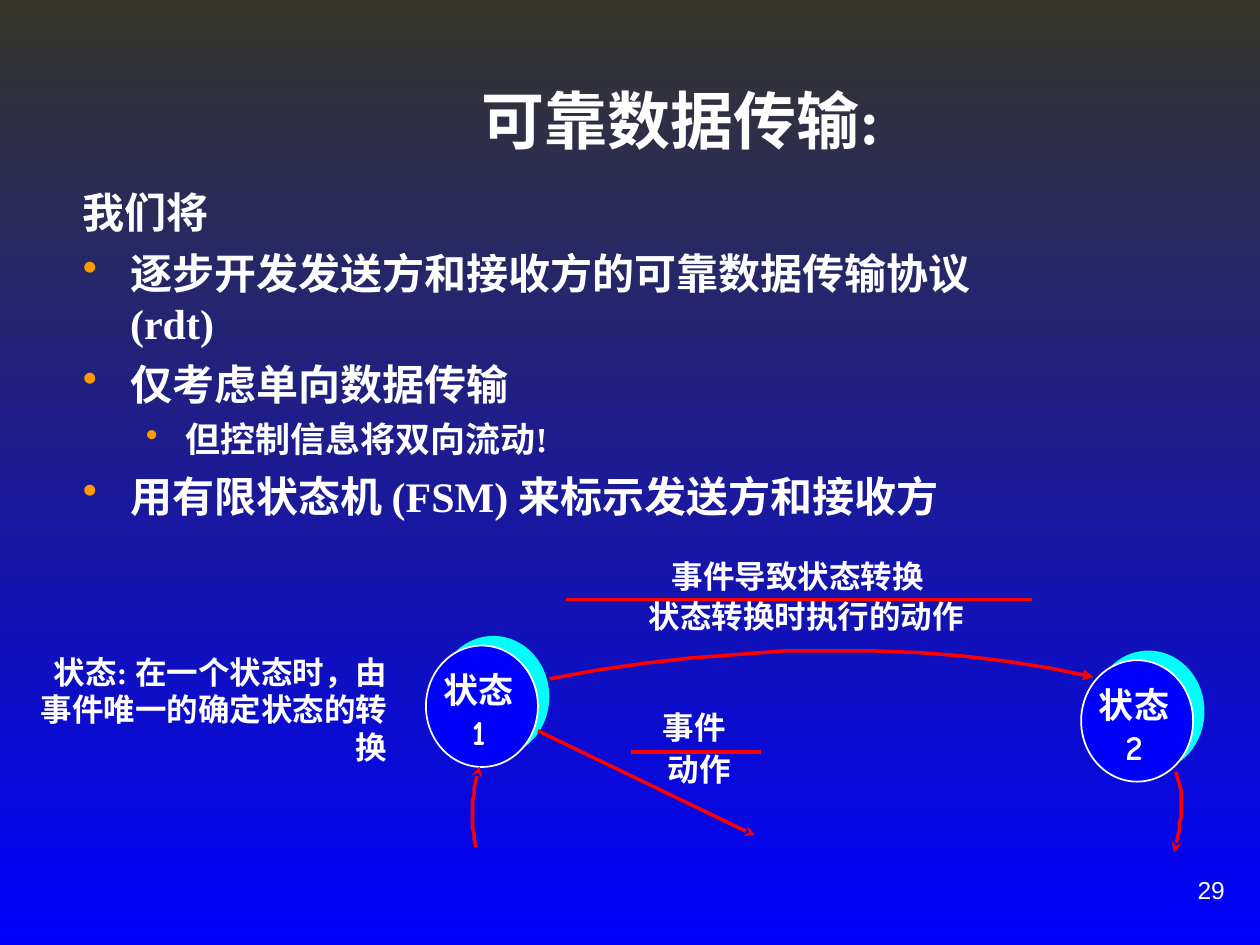
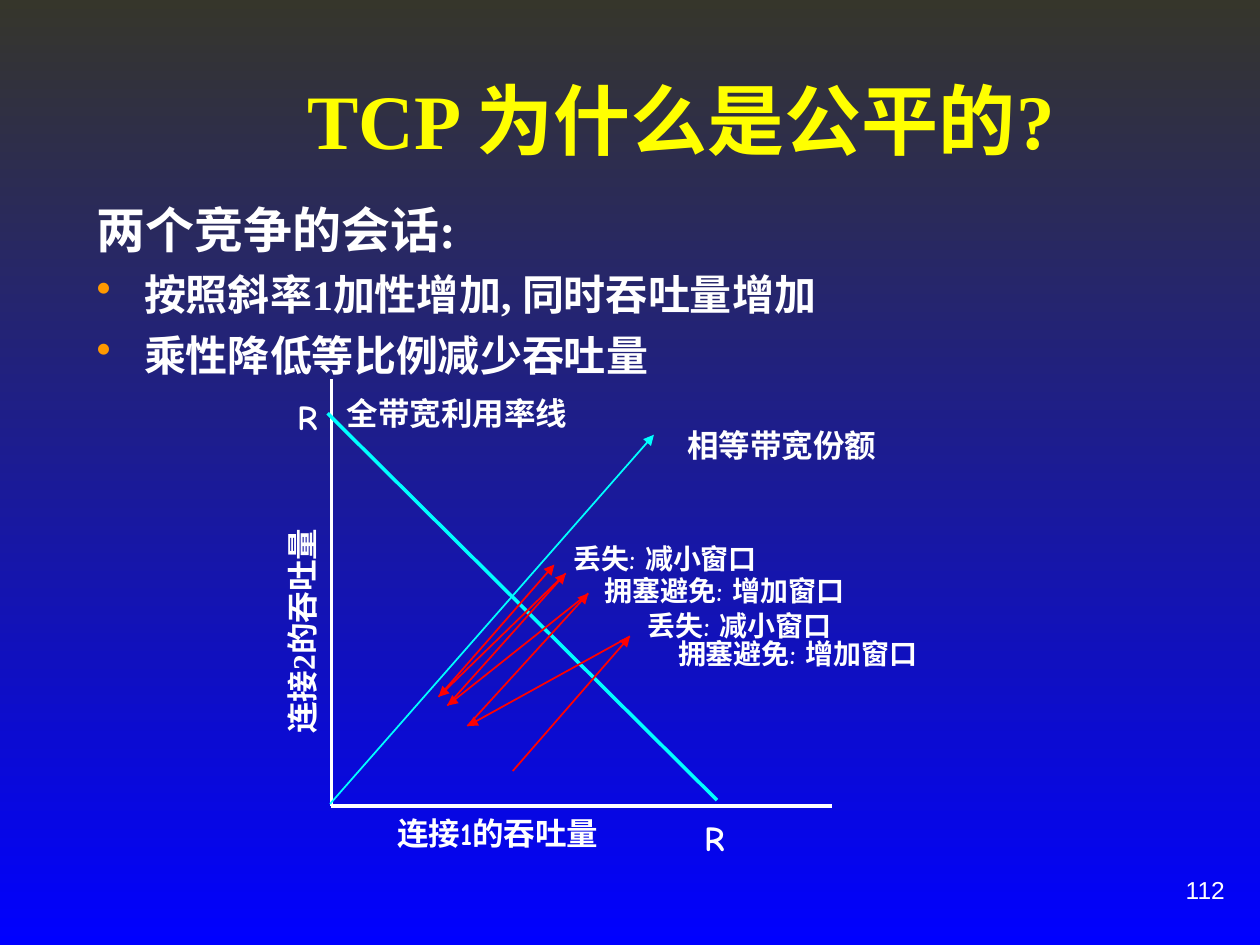
from dataclasses import dataclass
from itertools import pairwise
from typing import NamedTuple

from lxml import etree
from pptx import Presentation
from pptx.dml.color import RGBColor
from pptx.enum.shapes import MSO_CONNECTOR, MSO_SHAPE
from pptx.enum.text import MSO_ANCHOR, PP_ALIGN
from pptx.oxml.ns import qn
from pptx.util import Pt

STRAIGHT = MSO_CONNECTOR.STRAIGHT
OVAL = MSO_SHAPE.OVAL
MIDDLE = MSO_ANCHOR.MIDDLE
LEFT, CENTER, RIGHT = PP_ALIGN.LEFT, PP_ALIGN.CENTER, PP_ALIGN.RIGHT


@dataclass(frozen=True)
class Theme:
    top: str = "36362B"
    bottom: str = "0000FF"
    white: str = "FFFFFF"
    yellow: str = "FFFF00"
    cyan: str = "00FFFF"
    red: str = "FF0000"
    bullet: str = "FF9900"
    serif: str = "Times New Roman"
    hand: str = "Comic Neue"
    plain: str = "Arial"
    title: int = 36
    big_title: int = 44
    lead: int = 28
    body: int = 24
    state: int = 20
    label: int = 18
    note: int = 16
    page: int = 14


T = Theme()


class Point(NamedTuple):
    x: float
    y: float


class Box(NamedTuple):
    x: float
    y: float
    w: float
    h: float


class Label(NamedTuple):
    text: str
    box: Box
    size: int = T.label
    font: str = T.hand
    align: PP_ALIGN = CENTER
    wrap: bool = False
    rotation: int = 0


class Line(NamedTuple):
    start: Point
    end: Point
    color: str = T.red
    width: float = 2
    arrow: str = ""


class Curve(NamedTuple):
    start: Point
    control: Point
    end: Point
    arrow: str


class State(NamedTuple):
    name: str
    at: Point


class Item(NamedTuple):
    text: str
    size: int = T.body
    level: int = -1  # -1 is a lead line without bullet


TITLE_BOX = Box(85, 23, 608.4, 90)
PAGE_BOX = Box(516.2, 490.3, 190.8, 36)
INDENTS = {-1: (27, 27), 0: (27, 27), 1: (58.5, 22.5)}


def rgb(color: str) -> RGBColor:
    return RGBColor.from_string(color)


def place(box: Box) -> list[Pt]:
    return [Pt(v) for v in box]


def style(p, size: int, font: str, color: str = T.white, bold: bool = True) -> None:
    for r in p.runs:
        f = r.font
        f.size, f.name, f.bold = Pt(size), font, bold
        f.color.rgb = rgb(color)


def style_line(line, color: str, width: float, arrow: str = "") -> None:
    line.color.rgb = rgb(color)
    line.width = Pt(width)
    if arrow:
        ln = line._get_or_add_ln()
        etree.SubElement(ln, qn("a:tailEnd"), type=arrow)


def add_label(shapes, label: Label, bold: bool = True):
    tb = shapes.add_textbox(*place(label.box))
    tb.rotation = label.rotation
    tf = tb.text_frame
    tf.word_wrap = label.wrap
    tf.text = label.text
    for p in tf.paragraphs:
        p.alignment = label.align
        style(p, label.size, label.font, bold=bold)
    return tb


def add_line(s, line: Line) -> None:
    c = s.shapes.add_connector(STRAIGHT, *[Pt(v) for v in (*line.start, *line.end)])
    style_line(c.line, line.color, line.width, line.arrow)
    etree.SubElement(c._element.spPr, qn("a:effectLst"))


def add_curve(s, curve: Curve, steps: int = 12) -> None:
    """Draw a quadratic curve as a chain of short segments."""
    points = []
    for i in range(steps + 1):
        t = i / steps
        points.append(tuple((1 - t) ** 2 * a + 2 * t * (1 - t) * b + t * t * c
                            for a, b, c in zip(curve.start, curve.control, curve.end)))
    fb = s.shapes.build_freeform(*points[0], scale=Pt(1))
    fb.add_line_segments(points[1:], close=False)
    sp = fb.convert_to_shape()
    sp.shadow.inherit = False
    sp.fill.background()
    style_line(sp.line, T.red, 2, curve.arrow)


def add_state(s, state: State) -> None:
    """Draw a state circle with a cyan disc behind it."""
    x, y = state.at
    shapes = s.shapes.add_group_shape().shapes
    for dx, dy, color in ((6.5, -5.5, T.cyan), (0, 0, T.bottom)):
        sp = shapes.add_shape(OVAL, *place(Box(x + dx, y + dy, 64, 69.4)))
        sp.shadow.inherit = False
        sp.fill.solid()
        sp.fill.fore_color.rgb = rgb(color)
        if color == T.cyan:
            sp.line.fill.background()
        else:
            style_line(sp.line, T.white, 1)
    add_label(shapes, Label(state.name, Box(x + 2.9, y + 9.7, 54.7, 55.4), T.state))


def add_body(s, box: Box, items: list[Item]) -> None:
    tf = s.shapes.add_textbox(*place(box)).text_frame
    tf.word_wrap = True
    for i, item in enumerate(items):
        p = tf.add_paragraph() if i else tf.paragraphs[0]
        p.text = item.text
        p.level = max(item.level, 0)
        margin, hang = INDENTS[item.level]
        pPr = p._p.get_or_add_pPr()
        pPr.set("marL", str(Pt(margin)))
        pPr.set("indent", str(-Pt(hang)))
        if item.level >= 0:
            color = etree.SubElement(pPr, qn("a:buClr"))
            etree.SubElement(color, qn("a:srgbClr"), val=T.bullet)
            etree.SubElement(pPr, qn("a:buChar"), char="•")
        if i:
            p.space_before = Pt(item.size / 4)
        style(p, item.size, T.serif)


def add_slide(prs, title: str, page: str, size: int, color: str):
    s = prs.slides.add_slide(prs.slide_layouts[5])
    sp = s.shapes.title
    sp.left, sp.top, sp.width, sp.height = place(TITLE_BOX)
    tf = sp.text_frame
    tf.text = title
    tf.vertical_anchor = MIDDLE
    p = tf.paragraphs[0]
    p.alignment = CENTER
    style(p, size, T.serif, color)
    number = Label(page, PAGE_BOX, T.page, T.plain, RIGHT, wrap=True)
    add_label(s.shapes, number, bold=False).text_frame.vertical_anchor = MIDDLE
    return s


def build_state_machine(prs) -> None:
    s = add_slide(prs, "可靠数据传输:", "29", T.title, T.white)
    add_body(s, Box(40.3, 103, 571.7, 209.5), [
        Item("我们将"),
        Item("逐步开发发送方和接收方的可靠数据传输协议 (rdt)", level=0),
        Item("仅考虑单向数据传输", level=0),
        Item("但控制信息将双向流动!", T.state, 1),
        Item("用有限状态机 (FSM) 来标示发送方和接收方", level=0),
    ])
    for state in (State("状态\n1", Point(243.4, 368.9)),
                  State("状态\n2", Point(617.8, 377.3))):
        add_state(s, state)
    for curve in (
        Curve(Point(313.9, 388.1), Point(479.5, 356.4), Point(625, 386.6), "triangle"),
        Curve(Point(272.2, 483.8), Point(267.1, 463.7), Point(273.6, 437.8), "stealth"),
        Curve(Point(672.5, 441.4), Point(678.2, 461.5), Point(671, 486.7), "stealth"),
    ):
        add_curve(s, curve)
    for line in (
        Line(Point(323.3, 342.7), Point(589.7, 342.7)),
        Line(Point(360.7, 429.8), Point(434.9, 429.8)),
        Line(Point(307.4, 417.6), Point(431.3, 477.4), arrow="stealth"),
    ):
        add_line(s, line)
    for label in (
        Label("事件导致状态转换", Box(376.6, 314.6, 158.4, 28.8)),
        Label("状态转换时执行的动作", Box(363.6, 337.7, 194.4, 28.8)),
        Label("状态: 在一个状态时，由事件唯一的确定状态的转换",
              Box(10.1, 369.4, 218.2, 97.2), font=T.serif, align=RIGHT, wrap=True),
        Label("事件", Box(371.5, 401, 50.4, 28.8)),
        Label("动作", Box(374.4, 424.8, 50.4, 28.8)),
    ):
        add_label(s.shapes, label)


def build_fairness(prs) -> None:
    s = add_slide(prs, "TCP 为什么是公平的?", "112", T.big_title, T.yellow)
    add_body(s, Box(48.2, 110.2, 653.8, 365.8), [
        Item("两个竞争的会话:", T.lead),
        Item("按照斜率1加性增加, 同时吞吐量增加", level=0),
        Item("乘性降低等比例减少吞吐量", level=0),
    ])
    x_axis = Line(Point(189.4, 460.5), Point(475.2, 460.5), T.white)
    y_axis = Line(Point(189.4, 460.5), Point(189.4, 216.7), T.white)
    equal_share = Line(Point(188.6, 459.4), Point(373.7, 248.4), T.cyan, 1, "triangle")
    full_use = Line(Point(187.2, 236.2), Point(409.7, 457.2), T.cyan)
    throughput = [Point(293, 440.6), Point(360, 363.6), Point(267.1, 414.9),
                  Point(336.2, 339.1), Point(255.6, 403.2), Point(323.3, 327.6),
                  Point(250.6, 398.2), Point(316.8, 322.6)]
    steps = [Line(a, b, T.red, 1, "triangle") for a, b in pairwise(throughput)]
    for line in (x_axis, y_axis, equal_share, full_use, *steps):
        add_line(s, line)

    for label in (
        Label("R", Box(159.8, 222.5, 31.7, 31), T.state, wrap=True),
        Label("R", Box(392.4, 463, 31.7, 31), T.state, wrap=True),
        Label("全带宽利用率线", Box(162, 221.8, 198, 28.8), wrap=True),
        Label("相等带宽份额", Box(347.8, 239.8, 198, 28.8), wrap=True),
        Label("连接1的吞吐量", Box(144.7, 461.5, 279.4, 28.8), wrap=True),
        Label("连接2的吞吐量", Box(33.1, 346.3, 279.4, 28.8), font=T.serif,
              wrap=True, rotation=270),
    ):
        add_label(s.shapes, label)
    for loss, avoid in ((Point(316.8, 306), Point(306, 324)),
                        (Point(359.3, 344.2), Point(347.8, 360))):
        add_label(s.shapes, Label("丢失: 减小窗口", Box(*loss, 126.7, 26.6), T.note))
        add_label(s.shapes, Label("拥塞避免: 增加窗口", Box(*avoid, 216, 26.6), T.note,
                                  wrap=True))


def main() -> None:
    prs = Presentation()
    prs.slide_width, prs.slide_height = Pt(720), Pt(540)
    fill = prs.slide_master.background.fill
    fill.gradient()
    fill.gradient_angle = 270
    for stop, color in zip(fill.gradient_stops, (T.top, T.bottom)):
        stop.color.rgb = rgb(color)
    build_state_machine(prs)
    build_fairness(prs)
    prs.save("out.pptx")


if __name__ == "__main__":
    main()
